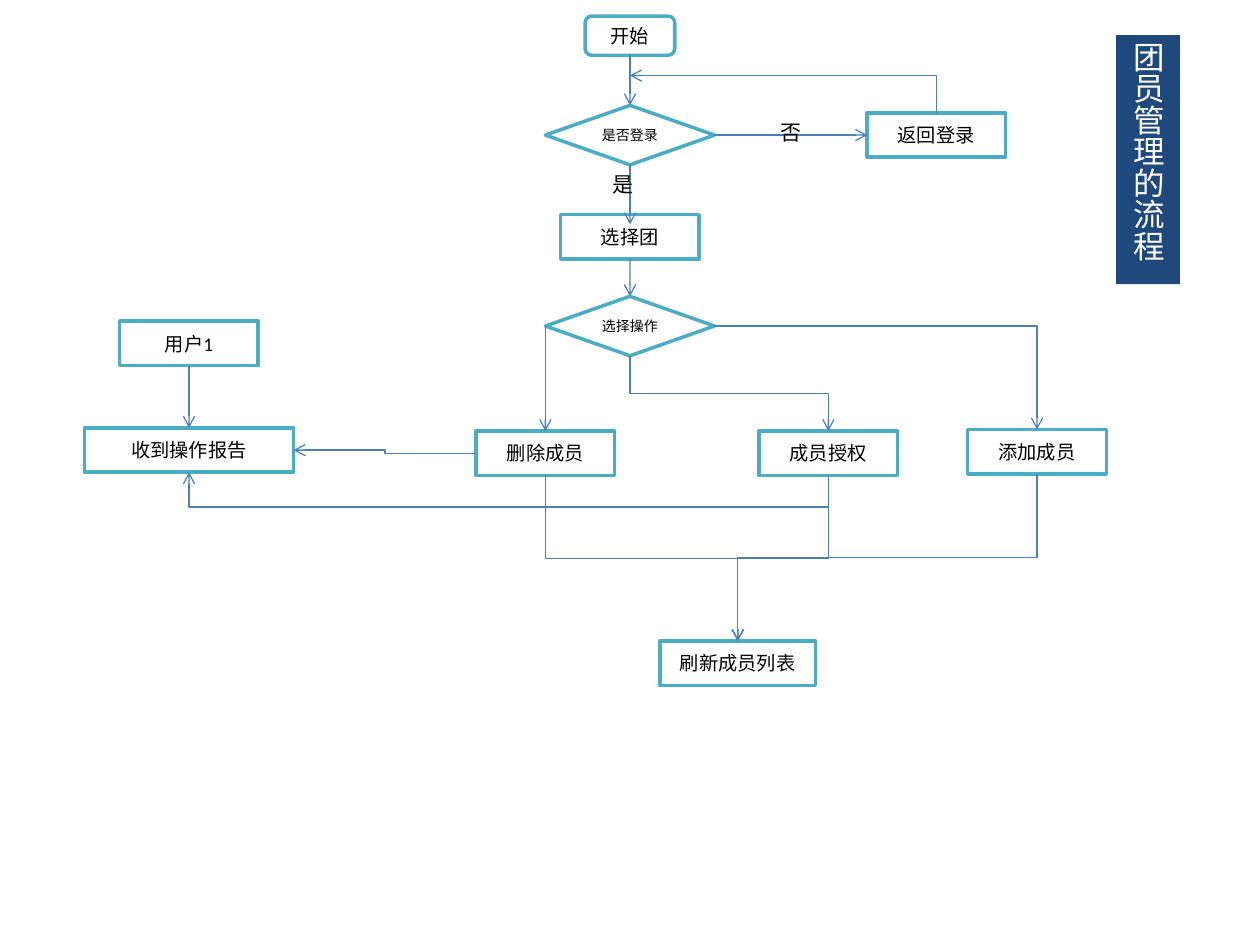
from lxml import etree
from pptx import Presentation
from pptx.dml.color import RGBColor
from pptx.enum.shapes import MSO_CONNECTOR, MSO_SHAPE
from pptx.enum.text import MSO_ANCHOR, MSO_AUTO_SIZE, PP_ALIGN
from pptx.oxml.ns import qn
from pptx.util import Pt

WHITE = RGBColor(0xFF, 0xFF, 0xFF)
BLACK = RGBColor(0x00, 0x00, 0x00)
NAVY = RGBColor(0x1F, 0x49, 0x7D)
TEAL = RGBColor(0x4B, 0xAC, 0xC6)
BLUE = RGBColor(0x4B, 0x7E, 0xBC)
RECTANGLE = MSO_SHAPE.RECTANGLE
ROUNDED = MSO_SHAPE.ROUNDED_RECTANGLE
DIAMOND = MSO_SHAPE.DIAMOND
STRAIGHT = MSO_CONNECTOR.STRAIGHT
ELBOW = MSO_CONNECTOR.ELBOW
TOP, LEFT, BOTTOM, RIGHT = range(4)
FONT = "Calibri"
MAIN_X = 360
DELETE_X, GRANT_X, ADD_X = 311.7, 473.4, 592.6
REPORT_X = 108
LOGIN_Y = 77.2
ACTION_Y = 259


def style_text(paragraph, size, color):
    """Give a paragraph its font."""
    paragraph.font.name = FONT
    paragraph.font.size = Pt(size)
    paragraph.font.color.rgb = color


def add_title(slide, text):
    """Turn the title placeholder into a vertical banner."""
    title = slide.shapes.title
    title.left, title.top, title.width, title.height = Pt(637.8), Pt(20), Pt(36.4), Pt(142.4)
    title.fill.solid()
    title.fill.fore_color.rgb = NAVY
    frame = title.text_frame
    frame.text = text
    frame.word_wrap = True
    frame.auto_size = MSO_AUTO_SIZE.SHAPE_TO_FIT_TEXT
    frame.vertical_anchor = MSO_ANCHOR.TOP
    title.element.txBody.bodyPr.set("vert", "eaVert")
    paragraph = frame.paragraphs[0]
    paragraph.alignment = PP_ALIGN.LEFT
    style_text(paragraph, 18, WHITE)


def add_node(slide, text, x, y, width=79.2, height=25.4, kind=RECTANGLE, size=11):
    """Add a flowchart node centred on x, y."""
    shape = slide.shapes.add_shape(
        kind, Pt(x - width / 2), Pt(y - height / 2), Pt(width), Pt(height))
    shape.shadow.inherit = False
    shape.fill.solid()
    shape.fill.fore_color.rgb = WHITE
    shape.line.color.rgb = TEAL
    shape.line.width = Pt(2)
    frame = shape.text_frame
    frame.text = text
    frame.vertical_anchor = MSO_ANCHOR.MIDDLE
    paragraph = frame.paragraphs[0]
    paragraph.alignment = PP_ALIGN.CENTER
    style_text(paragraph, size, BLACK)
    return shape


def add_decision(slide, text, y):
    """Add a decision diamond on the main axis."""
    return add_node(slide, text, MAIN_X, y, 96.6, 34, DIAMOND, 8)


def add_label(slide, text, left, top):
    """Add a branch label."""
    box = slide.shapes.add_textbox(Pt(left), Pt(top), Pt(26.6), Pt(21.6))
    frame = box.text_frame
    frame.text = text
    frame.word_wrap = False
    frame.auto_size = MSO_AUTO_SIZE.SHAPE_TO_FIT_TEXT
    style_text(frame.paragraphs[0], 12, BLACK)


def site_point(shape, site):
    """Return the middle of one side of a shape."""
    across = {LEFT: 0, RIGHT: shape.width}.get(site, shape.width // 2)
    down = {TOP: 0, BOTTOM: shape.height}.get(site, shape.height // 2)
    return shape.left + across, shape.top + down


def add_arrow(slide, source, site, target=None, target_site=TOP, point=None, kind=STRAIGHT):
    """Join a node's side to another node's side or to a free point."""
    start = site_point(source, site)
    end = site_point(target, target_site) if target else point
    connector = slide.shapes.add_connector(kind, *start, *end)
    connector.begin_connect(source, site)
    if target:
        connector.end_connect(target, target_site)
    connector.line.color.rgb = BLUE
    connector.line.width = Pt(0.75)
    line = connector.line._get_or_add_ln()
    etree.SubElement(line, qn("a:tailEnd"), type="arrow")
    etree.SubElement(connector.element.spPr, qn("a:effectLst"))
    return connector, start, end


def add_elbow(slide, source, site, target=None, target_site=TOP, point=None, bends=2, drop=None):
    """Add a bent arrow, turned so that it leaves its side squarely."""
    connector, start, end = add_arrow(
        slide, source, site, target, target_site, point, ELBOW)
    across, down = end[0] - start[0], end[1] - start[1]
    if site in (TOP, BOTTOM):
        angle = 90 if down > 0 else 270
        length, offset = abs(down), abs(across)
        flipped = across > 0 if angle == 90 else across < 0
    else:
        angle = 0 if across > 0 else 180
        length, offset = abs(across), abs(down)
        flipped = down < 0 if angle == 0 else down > 0
    connector.left = (start[0] + end[0] - length) // 2
    connector.top = (start[1] + end[1] - offset) // 2
    connector.width, connector.height = length, offset
    properties = connector.element.spPr
    transform = properties.find(qn("a:xfrm"))
    transform.set("rot", str(angle * 60000))
    transform.set("flipH", "0")
    transform.set("flipV", str(int(flipped)))
    geometry = properties.find(qn("a:prstGeom"))
    geometry.set("prst", f"bentConnector{bends + 1}")
    if drop:
        guides = geometry.find(qn("a:avLst"))
        ratio = round(-Pt(drop) / length * 100000)
        etree.SubElement(guides, qn("a:gd"), name="adj1", fmla=f"val {ratio}")


def main():
    """Build the flowchart slide."""
    presentation = Presentation()
    presentation.slide_width, presentation.slide_height = Pt(720), Pt(540)
    slide = presentation.slides.add_slide(presentation.slide_layouts[5])
    add_title(slide, "团员管理的流程")

    begin = add_node(slide, "开始", MAIN_X, 20.4, 51.2, 22.4, ROUNDED)
    logged_in = add_decision(slide, "是否登录", LOGIN_Y)
    login = add_node(slide, "返回登录", 535.1, LOGIN_Y)
    group = add_node(slide, "选择团", MAIN_X, 135.4)
    operation = add_decision(slide, "选择操作", 186.3)
    user = add_node(slide, "用户1", REPORT_X, 196.3)
    report = add_node(slide, "收到操作报告", REPORT_X, 257.2, 119.6)
    delete = add_node(slide, "删除成员", DELETE_X, ACTION_Y)
    grant = add_node(slide, "成员授权", GRANT_X, ACTION_Y)
    add = add_node(slide, "添加成员", ADD_X, 258.2)
    refresh = add_node(slide, "刷新成员列表", 421.6, 379, 89)

    add_arrow(slide, begin, BOTTOM, logged_in)
    add_arrow(slide, logged_in, RIGHT, login, LEFT)
    add_arrow(slide, logged_in, BOTTOM, point=(Pt(MAIN_X), Pt(128.2)))
    add_arrow(slide, group, BOTTOM, operation)
    add_arrow(slide, user, BOTTOM, report)

    add_elbow(slide, login, TOP, point=(Pt(MAIN_X), Pt(43.2)), bends=1)
    add_elbow(slide, operation, LEFT, delete, bends=1)
    add_elbow(slide, operation, RIGHT, add, bends=1)
    add_elbow(slide, operation, BOTTOM, grant)
    add_elbow(slide, delete, LEFT, report, RIGHT)
    add_elbow(slide, grant, BOTTOM, report, BOTTOM, drop=18)
    for action in (delete, grant, add):
        add_elbow(slide, action, BOTTOM, refresh)

    add_label(slide, "否", 439.2, 64.8)
    add_label(slide, "是", 342.7, 94.6)
    presentation.save("out.pptx")


if __name__ == "__main__":
    main()
